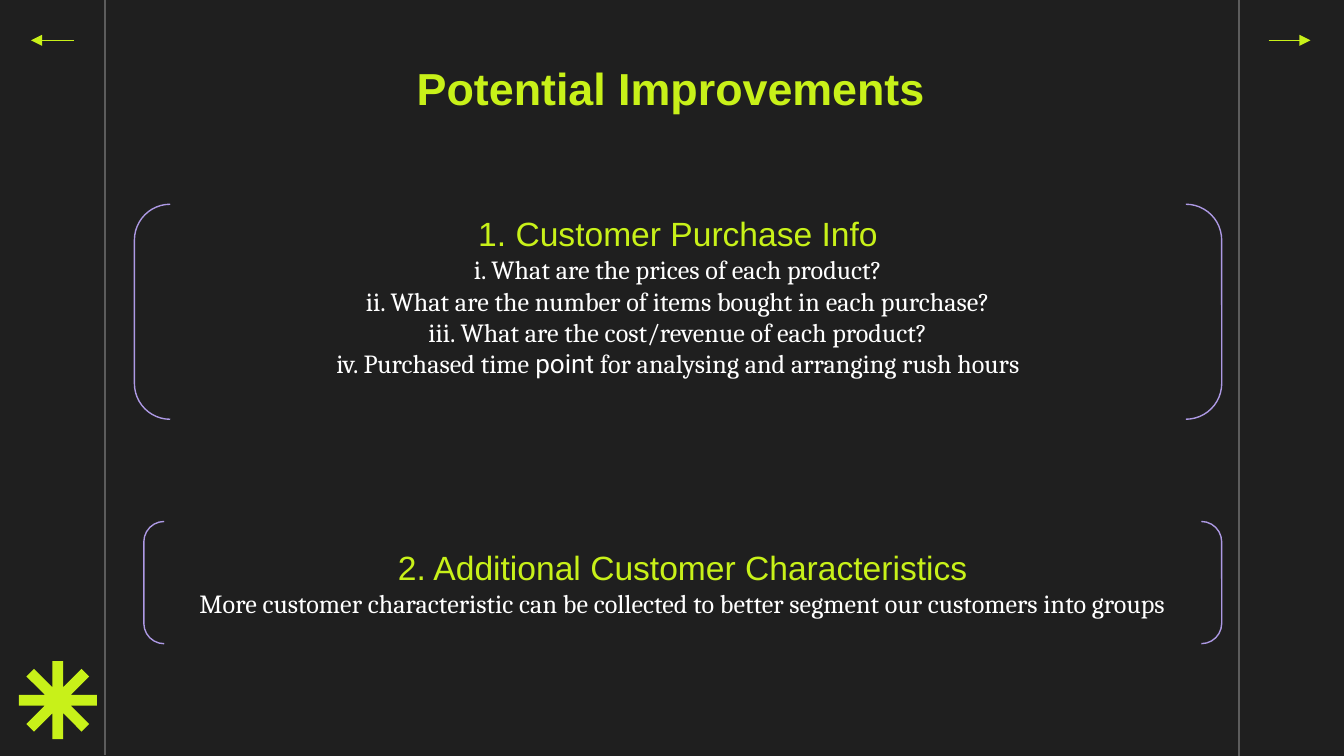
from dataclasses import dataclass
from math import cos, pi, sin, tan

from lxml.etree import SubElement
from pptx import Presentation
from pptx.dml.color import RGBColor
from pptx.enum.shapes import MSO_CONNECTOR, MSO_SHAPE
from pptx.enum.text import MSO_ANCHOR, PP_ALIGN
from pptx.oxml.ns import qn
from pptx.slide import Slide
from pptx.text.text import _Run
from pptx.util import Inches, Pt

SLIDE_W = 10
SLIDE_H = SLIDE_W * 9 / 16


@dataclass(frozen=True)
class Theme:
    dark: RGBColor = RGBColor(0x1F, 0x1F, 0x1F)
    lime: RGBColor = RGBColor(0xC8, 0xF1, 0x19)
    white: RGBColor = RGBColor(0xFF, 0xFF, 0xFF)
    grey: RGBColor = RGBColor(0x5C, 0x5C, 0x5C)
    lilac: RGBColor = RGBColor(0xAD, 0x99, 0xE4)
    head_font: str = "Arial"
    body_font: str = "Cambria"
    accent_font: str = "Roboto"
    title_size: int = 24
    head_size: int = 18
    body_size: int = 14
    line_width: float = 0.75


@dataclass(frozen=True)
class Line:
    x1: float
    y1: float
    x2: float
    y2: float
    color: RGBColor
    arrow: bool = False


@dataclass(frozen=True)
class Segment:
    text: str
    font: str


@dataclass(frozen=True)
class Bracket:
    left: float
    top: float
    width: float
    height: float
    heading: str
    lines: list[list[Segment]]
    bottom_inset: float = 0.05


T = Theme()


def body(text: str) -> list[Segment]:
    return [Segment(text, T.body_font)]


LINES = [
    Line(0.78, -0.01, 0.78, 5.62, T.grey),
    Line(9.22, 0, 9.22, SLIDE_H, T.grey),
    Line(9.44, 0.3, 9.75, 0.3, T.lime, arrow=True),
    Line(0.55, 0.3, 0.23, 0.3, T.lime, arrow=True),
]
BRACKETS = [
    Bracket(1, 1.52, 8.09, 1.6, "1. Customer Purchase Info", [
        body("i. What are the prices of each product?"),
        body("ii. What are the number of items bought in each purchase?"),
        body("iii. What are the cost/revenue of each product?"),
        [
            Segment("iv. Purchased time ", T.body_font),
            Segment("point", T.accent_font),
            Segment(" for analysing and arranging rush hours", T.body_font),
        ],
    ], bottom_inset=0.28),
    Bracket(1.07, 3.88, 8.02, 0.91, "2. Additional Customer Characteristics", [
        body("More customer characteristic can be collected to better segment "
             "our customers into groups"),
    ]),
]


def style_run(r: _Run, font: str, size: int, color: RGBColor, bold: bool = False) -> None:
    r.font.name = font
    r.font.size = Pt(size)
    r.font.color.rgb = color
    r.font.bold = bold


def add_line(s: Slide, line: Line) -> None:
    cx = s.shapes.add_connector(
        MSO_CONNECTOR.STRAIGHT,
        Inches(line.x1), Inches(line.y1), Inches(line.x2), Inches(line.y2),
    )
    cx.line.color.rgb = line.color
    cx.line.width = Pt(T.line_width)
    if line.arrow:
        SubElement(cx.line._get_or_add_ln(), qn("a:tailEnd"), type="triangle")
    SubElement(cx._element.spPr, qn("a:effectLst"))


def add_asterisk(s: Slide, cx: float, cy: float, radius: float, half_width: float) -> None:
    notch = half_width / tan(pi / 8)
    arm = [(-half_width, -radius), (half_width, -radius), (half_width, -notch)]
    points = []
    for k in range(8):
        a = k * pi / 4
        points += [
            (Inches(cx + x * cos(a) - y * sin(a)), Inches(cy + x * sin(a) + y * cos(a)))
            for x, y in arm
        ]
    builder = s.shapes.build_freeform(*points[0])
    builder.add_line_segments(points[1:], close=True)
    sp = builder.convert_to_shape()
    sp.shadow.inherit = False
    sp.fill.solid()
    sp.fill.fore_color.rgb = T.lime
    sp.line.fill.background()


def add_title(s: Slide, text: str) -> None:
    sp = s.shapes.title
    sp.left, sp.top, sp.width, sp.height = (Inches(v) for v in (0.77, 0.25, 8.44, 0.81))
    tf = sp.text_frame
    tf.text = text
    tf.vertical_anchor = MSO_ANCHOR.MIDDLE
    tf.margin_left = tf.margin_right = tf.margin_top = tf.margin_bottom = Inches(0.1)
    p = tf.paragraphs[0]
    p.alignment = PP_ALIGN.CENTER
    style_run(p.runs[0], T.head_font, T.title_size, T.lime, bold=True)


def add_bracket(s: Slide, b: Bracket) -> None:
    sp = s.shapes.add_shape(
        MSO_SHAPE.DOUBLE_BRACKET,
        Inches(b.left), Inches(b.top), Inches(b.width), Inches(b.height),
    )
    sp.shadow.inherit = False
    sp.fill.background()
    sp.line.color.rgb = T.lilac
    sp.line.width = Pt(T.line_width)
    tf = sp.text_frame
    tf.word_wrap = True
    tf.vertical_anchor = MSO_ANCHOR.MIDDLE
    tf.margin_bottom = Inches(b.bottom_inset)
    tf.text = b.heading
    p = tf.paragraphs[0]
    p.alignment = PP_ALIGN.CENTER
    style_run(p.runs[0], T.head_font, T.head_size, T.lime)
    for segments in b.lines:
        p = tf.add_paragraph()
        p.alignment = PP_ALIGN.CENTER
        for segment in segments:
            r = p.add_run()
            r.text = segment.text
            style_run(r, segment.font, T.body_size, T.white)


def main() -> None:
    prs = Presentation()
    prs.slide_width, prs.slide_height = Inches(SLIDE_W), Inches(SLIDE_H)
    s = prs.slides.add_slide(prs.slide_layouts[5])
    s.background.fill.solid()
    s.background.fill.fore_color.rgb = T.dark
    add_title(s, "Potential Improvements")
    for line in LINES:
        add_line(s, line)
    add_asterisk(s, cx=0.43, cy=5.21, radius=0.29, half_width=0.04)
    for bracket in BRACKETS:
        add_bracket(s, bracket)
    prs.save("out.pptx")


if __name__ == "__main__":
    main()
